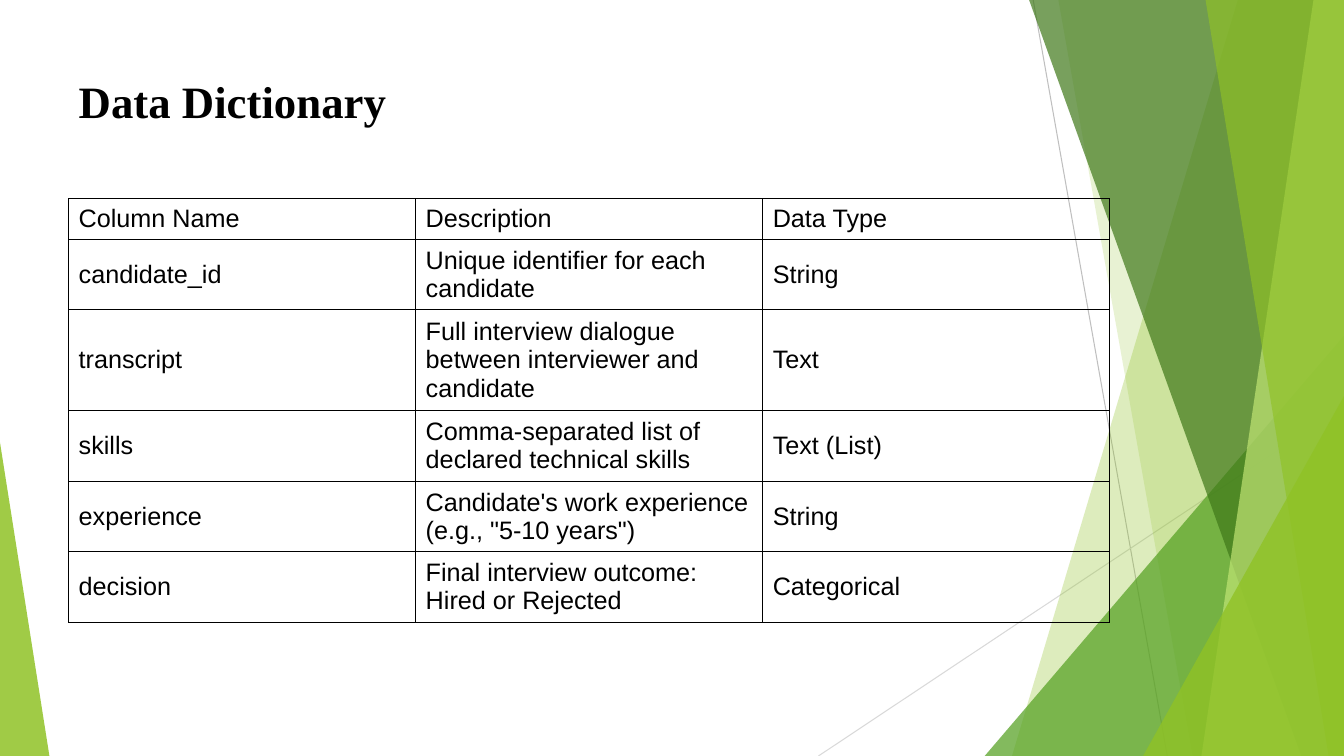
from lxml import etree
from pptx import Presentation
from pptx.dml.color import RGBColor
from pptx.enum.shapes import MSO_CONNECTOR, MSO_SHAPE
from pptx.enum.text import MSO_ANCHOR, PP_ALIGN
from pptx.oxml.ns import qn
from pptx.util import Pt

STRAIGHT = MSO_CONNECTOR.STRAIGHT
TRIANGLE = MSO_SHAPE.ISOSCELES_TRIANGLE
MIDDLE = MSO_ANCHOR.MIDDLE
LEFT = PP_ALIGN.LEFT

WIDTH, HEIGHT = 960, 540
COLORS = {
    "black": "000000",
    "grey": "BFBFBF",
    "light grey": "D9D9D9",
    "lime": "90C226",
    "pale lime": "C0E474",
    "green": "54A021",
    "dark green": "3F7819",
}

deck = Presentation()
deck.slide_width, deck.slide_height = Pt(WIDTH), Pt(HEIGHT)
page = deck.slides.add_slide(deck.slide_layouts[5])


def draw_blade(top_x, bottom_x):
    builder = page.shapes.build_freeform(Pt(top_x), 0)
    corners = [(WIDTH, 0), (WIDTH, HEIGHT), (bottom_x, HEIGHT)]
    builder.add_line_segments([(Pt(x), Pt(y)) for x, y in corners], close=True)
    return builder.convert_to_shape()


def draw_triangle(left, top, width, apex):
    triangle = page.shapes.add_shape(TRIANGLE, Pt(left), Pt(top), Pt(width), Pt(HEIGHT - top))
    triangle.adjustments[0] = apex
    return triangle


rays = [
    ("grey", 738, 0, 833.8, HEIGHT),
    ("light grey", WIDTH, 290.2, 584.6, HEIGHT),
]
for color, *ends in rays:
    ray = page.shapes.add_connector(STRAIGHT, *[Pt(value) for value in ends])
    ray.line.color.rgb = RGBColor.from_string(COLORS[color])
    ray.line.width = Pt(0.75)
    etree.SubElement(ray._element.spPr, qn("a:effectLst"))

panels = [
    ("lime", 30, draw_blade, (884.2, 722.9)),
    ("lime", 20, draw_blade, (756, 851.8)),
    ("green", 72, draw_triangle, (703.4, 239.8, 256.6, 1)),
    ("dark green", 70, draw_blade, (735.1, 929.5)),
    ("pale lime", 70, draw_blade, (938.2, 858.2)),
    ("lime", 65, draw_blade, (861.1, 949)),
    ("lime", 80, draw_triangle, (816.5, 283, 143.5, 1)),
    ("lime", 85, draw_triangle, (0, 316.1, 35.3, 0)),
]
for color, opacity, draw, numbers in panels:
    panel = draw(*numbers)
    panel.shadow.inherit = False
    panel.line.fill.background()
    panel.fill.solid()
    panel.fill.fore_color.rgb = RGBColor.from_string(COLORS[color])
    tint = panel._element.spPr.find(qn("a:solidFill"))[0]
    etree.SubElement(tint, qn("a:alpha"), val=str(opacity * 1000))

title = page.shapes.title
title.left, title.top, title.width, title.height = Pt(49), Pt(53.3), Pt(828), Pt(42.5)
title.text_frame.text = "Data Dictionary"
title.text_frame.vertical_anchor = MIDDLE
heading = title.text_frame.paragraphs[0]
heading.alignment = LEFT
heading.line_spacing = 0.9
heading.font.name = "Times New Roman"
heading.font.size = Pt(32)
heading.font.bold = True
heading.font.color.rgb = RGBColor.from_string(COLORS["black"])

fields = [
    (28.8, "Column Name", "Description", "Data Type"),
    (50.4, "candidate_id", "Unique identifier for each candidate", "String"),
    (72.2, "transcript", "Full interview dialogue between interviewer and candidate", "Text"),
    (50.4, "skills", "Comma-separated list of declared technical skills", "Text (List)"),
    (50.4, "experience", "Candidate's work experience (e.g., \"5-10 years\")", "String"),
    (50.4, "decision", "Final interview outcome: Hired or Rejected", "Categorical"),
]
frame = page.shapes.add_table(len(fields), 3, Pt(49), Pt(142), Pt(743.7), Pt(302.6))
table = frame.table
table.first_row = False
table.horz_banding = False
for column in table.columns:
    column.width = Pt(247.9)
for row, (height, *texts) in zip(table.rows, fields):
    row.height = Pt(height)
    for cell, text in zip(row.cells, texts):
        cell.text = text
        cell.vertical_anchor = MIDDLE
        font = cell.text_frame.paragraphs[0].runs[0].font
        font.name = "Arial"
        font.size = Pt(18)
        font.color.rgb = RGBColor.from_string(COLORS["black"])
        properties = cell._tc.get_or_add_tcPr()
        for side in ("a:lnL", "a:lnR", "a:lnT", "a:lnB"):
            border = etree.SubElement(properties, qn(side), w=str(Pt(1)))
            ink = etree.SubElement(border, qn("a:solidFill"))
            etree.SubElement(ink, qn("a:srgbClr"), val=COLORS["black"])
        cell.fill.background()

deck.save("out.pptx")
